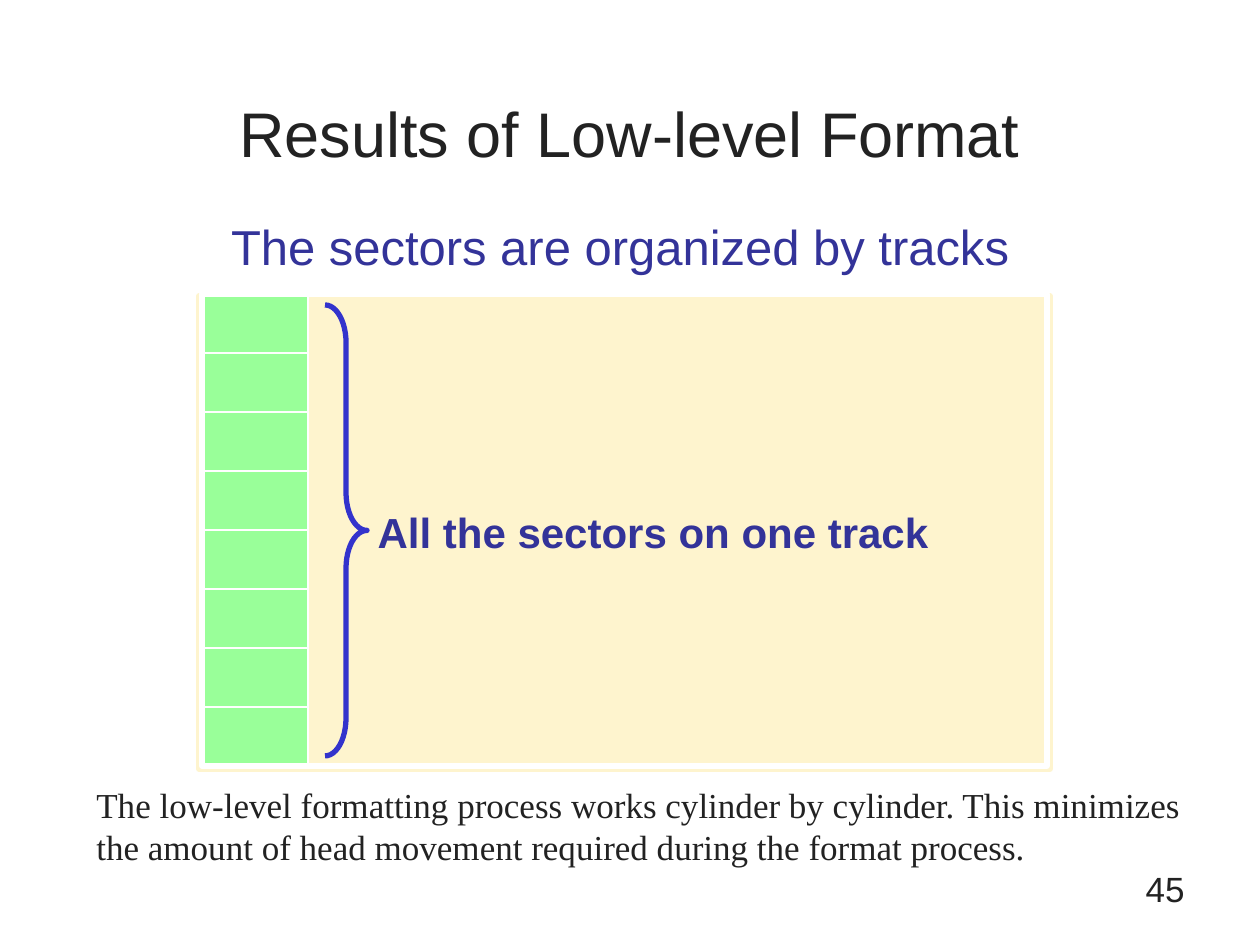
from pptx import Presentation
from pptx.dml.color import RGBColor
from pptx.enum.shapes import MSO_SHAPE
from pptx.enum.text import MSO_ANCHOR, PP_ALIGN
from pptx.util import Emu, Pt

EMU_PER_PX = 914400 / 126
INK = RGBColor(0x22, 0x22, 0x22)
NAVY = RGBColor(0x33, 0x33, 0x99)
BLUE = RGBColor(0x33, 0x33, 0xCC)
CREAM = RGBColor(0xFE, 0xF4, 0xCE)
GREEN = RGBColor(0x99, 0xFF, 0x99)
WHITE = RGBColor(0xFF, 0xFF, 0xFF)


def px(*values):
    return [Emu(round(v * EMU_PER_PX)) for v in values]


class Deck:
    sans = "Arial"
    serif = "Times New Roman"

    def __init__(self, width, height):
        self.prs = Presentation()
        self.prs.slide_width, self.prs.slide_height = px(width, height)
        self.s = self.prs.slides.add_slide(self.prs.slide_layouts[5])

    def set_text(self, tf, text, size, color, align, font=None, bold=False):
        tf.word_wrap = True
        tf.text = text
        p = tf.paragraphs[0]
        p.alignment = align
        f = p.runs[0].font
        f.name = font or self.sans
        f.size = Pt(size)
        f.bold = bold
        f.color.rgb = color

    def title(self, box, text, size, color):
        sp = self.s.shapes.title
        sp.left, sp.top, sp.width, sp.height = px(*box)
        sp.text_frame.vertical_anchor = MSO_ANCHOR.MIDDLE
        self.set_text(sp.text_frame, text, size, color, PP_ALIGN.CENTER)

    def text(self, box, text, size, color, align, **style):
        sp = self.s.shapes.add_textbox(*px(*box))
        self.set_text(sp.text_frame, text, size, color, align, **style)

    def shape(self, box, line, weight, fill=None, kind=MSO_SHAPE.RECTANGLE):
        sp = self.s.shapes.add_shape(kind, *px(*box))
        sp.shadow.inherit = False
        if fill is None:
            sp.fill.background()
        else:
            sp.fill.solid()
            sp.fill.fore_color.rgb = fill
        sp.line.color.rgb = line
        sp.line.width = Pt(weight)
        return sp

    def brace(self, box, line, weight, curve):
        sp = self.shape(box, line, weight, kind=MSO_SHAPE.RIGHT_BRACE)
        sp.adjustments[0] = curve


def main():
    deck = Deck(1260, 945)
    deck.title((73, 53, 1113, 158), "Results of Low-level Format", 36, INK)
    deck.text((53, 210, 1134, 72), "The sectors are organized by tracks",
              28, NAVY, PP_ALIGN.CENTER)

    deck.shape((199, 296, 851, 473), CREAM, 3, CREAM)
    left, top, sector_height, sectors = 202, 294, 59, 8
    for i in range(sectors):
        deck.shape((left, top + i * sector_height, 106, sector_height),
                   WHITE, 0.75, GREEN)
    deck.text((347, 500, 612, 63), "All the sectors on one track",
              24, NAVY, PP_ALIGN.CENTER, bold=True)
    deck.shape((left, top, 845, sectors * sector_height), WHITE, 3)
    deck.brace((325, 305, 42, 451), BLUE, 3, 0.9)

    deck.text((84, 777, 1113, 97),
              "The low-level formatting process works cylinder by cylinder. "
              "This minimizes the amount of head movement required during "
              "the format process.",
              20, INK, PP_ALIGN.LEFT, font=deck.serif)
    deck.text((903, 861, 294, 63), "45", 20, INK, PP_ALIGN.RIGHT)
    deck.prs.save("out.pptx")


if __name__ == "__main__":
    main()
